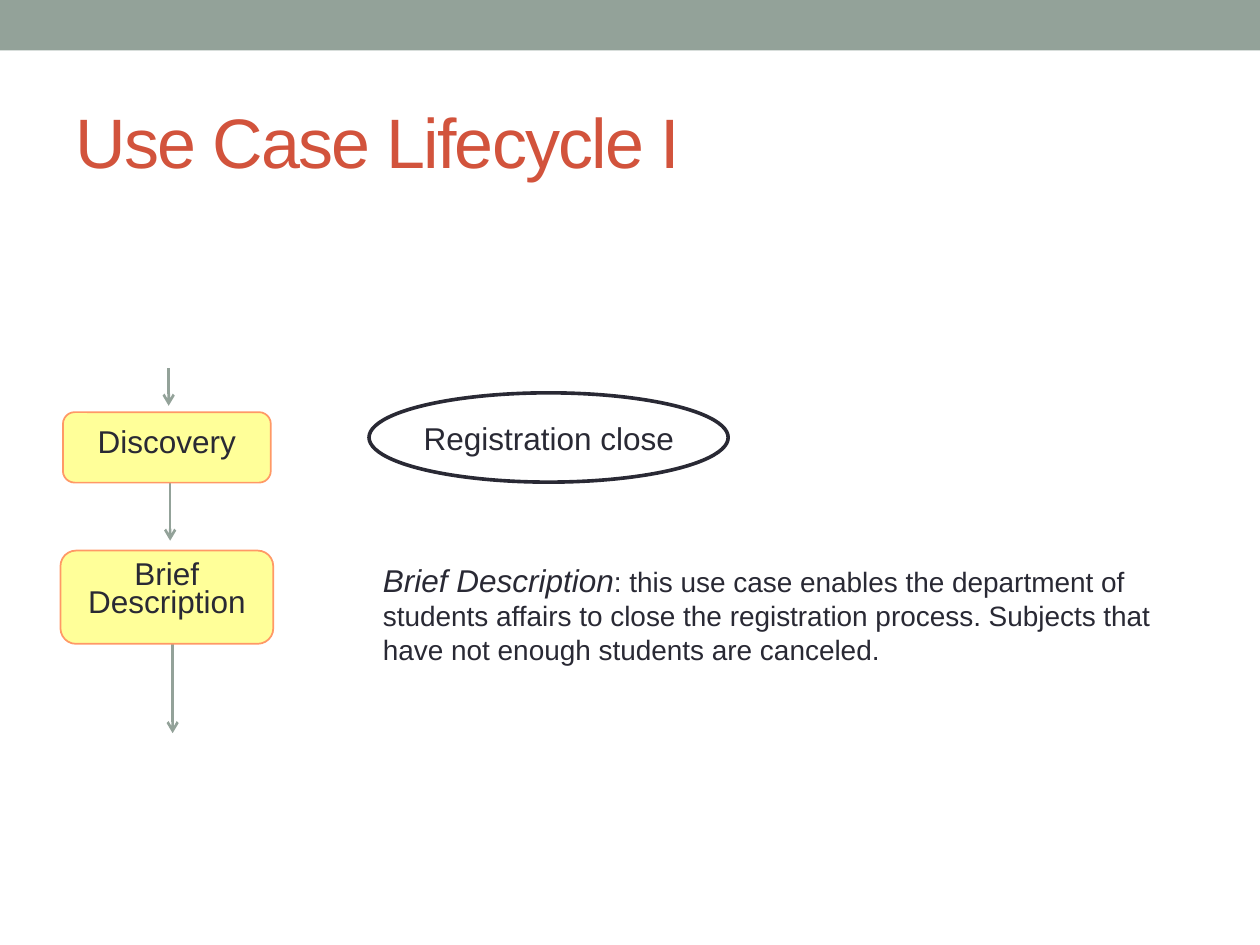
from lxml.etree import SubElement
from pptx import Presentation
from pptx.dml.color import RGBColor
from pptx.enum.shapes import MSO_CONNECTOR, MSO_SHAPE
from pptx.enum.text import MSO_ANCHOR, PP_ALIGN
from pptx.oxml.ns import qn
from pptx.util import Cm, Pt

FONT = "Arial"
SAGE = "93A299"
RED = "D2533C"
INK = "292934"
YELLOW = "FFFF99"
ORANGE = "FF9966"


def color(value):
    return RGBColor.from_string(value)


def add_span(para, text, size=18, ink=INK, italic=False):
    span = para.add_run()
    span.text = text
    span.font.name = FONT
    span.font.size = Pt(size)
    span.font.italic = italic
    span.font.color.rgb = color(ink)
    return span


def prepare_frame(shape, anchor=MSO_ANCHOR.TOP, align=PP_ALIGN.LEFT, bottom=0.13):
    """Set wrapping, margins and alignment, and return the first paragraph."""
    frame = shape.text_frame
    frame.word_wrap = True
    frame.vertical_anchor = anchor
    frame.margin_left = frame.margin_right = Cm(0.25)
    frame.margin_top, frame.margin_bottom = Cm(0.13), Cm(bottom)
    para = frame.paragraphs[0]
    para.alignment = align
    return para


def add_shape(page, kind, bounds, fill=None, line=None, width=1):
    shape = page.shapes.add_shape(kind, *map(Cm, bounds))
    shape.shadow.inherit = False
    if fill:
        shape.fill.solid()
        shape.fill.fore_color.rgb = color(fill)
    else:
        shape.fill.background()
    if line:
        shape.line.color.rgb = color(line)
        shape.line.width = Pt(width)
    else:
        shape.line.fill.background()
    return shape


def add_title(page, text):
    title = page.shapes.title
    title.left, title.top, title.width, title.height = map(Cm, (1.27, 1.47, 22.86, 2.74))
    para = prepare_frame(title, anchor=MSO_ANCHOR.MIDDLE)
    span = add_span(para, text, size=40, ink=RED)
    span.font._element.set("spc", "-100")


def add_stage(page, text, bounds, line_spacing=1.0):
    box = add_shape(page, MSO_SHAPE.ROUNDED_RECTANGLE, bounds, YELLOW, ORANGE)
    para = prepare_frame(box, MSO_ANCHOR.MIDDLE, PP_ALIGN.CENTER, bottom=0.38)
    para.line_spacing = line_spacing
    add_span(para, text)


def add_down_arrow(page, x, top, bottom):
    arrow = page.shapes.add_connector(
        MSO_CONNECTOR.STRAIGHT, Cm(x), Cm(top), Cm(x), Cm(bottom))
    arrow.line.color.rgb = color(SAGE)
    arrow.line.width = Pt(1.5)
    SubElement(arrow.line._get_or_add_ln(), qn("a:tailEnd"), type="arrow")
    SubElement(arrow._element.spPr, qn("a:effectLst"))


def add_text(page, bounds, spans, align=PP_ALIGN.LEFT):
    """Add a text box from (text, format) pairs."""
    box = page.shapes.add_textbox(*map(Cm, bounds))
    para = prepare_frame(box, align=align)
    for text, style in spans:
        add_span(para, text, **style)


def main():
    deck = Presentation()
    deck.slide_width, deck.slide_height = Cm(25.4), Cm(19.05)
    page = deck.slides.add_slide(deck.slide_layouts[5])

    add_shape(page, MSO_SHAPE.RECTANGLE, (0, 0, 25.4, 1.02), SAGE)
    add_title(page, "Use Case Lifecycle I")

    for x, top, bottom in ((3.4, 7.42, 8.18), (3.43, 9.35, 10.9), (3.48, 12.6, 14.78)):
        add_down_arrow(page, x, top, bottom)
    add_stage(page, "Discovery", (1.27, 8.31, 4.19, 1.42))
    add_stage(page, "Brief Description", (1.22, 11.1, 4.29, 1.88), line_spacing=0.75)

    add_shape(page, MSO_SHAPE.OVAL, (7.44, 7.92, 7.24, 1.8), line=INK, width=2.08)
    add_text(page, (7.8, 8.31, 6.53, 1.02), [("Registration close", {})], PP_ALIGN.CENTER)
    add_text(page, (7.47, 11.18, 16.76, 2.64), [
        ("Brief Description", {"italic": True}),
        (": this use case enables the department of students affairs to close the "
         "registration process. Subjects that have not enough students are canceled.",
         {"size": 16}),
    ])

    deck.save("out.pptx")


if __name__ == "__main__":
    main()
